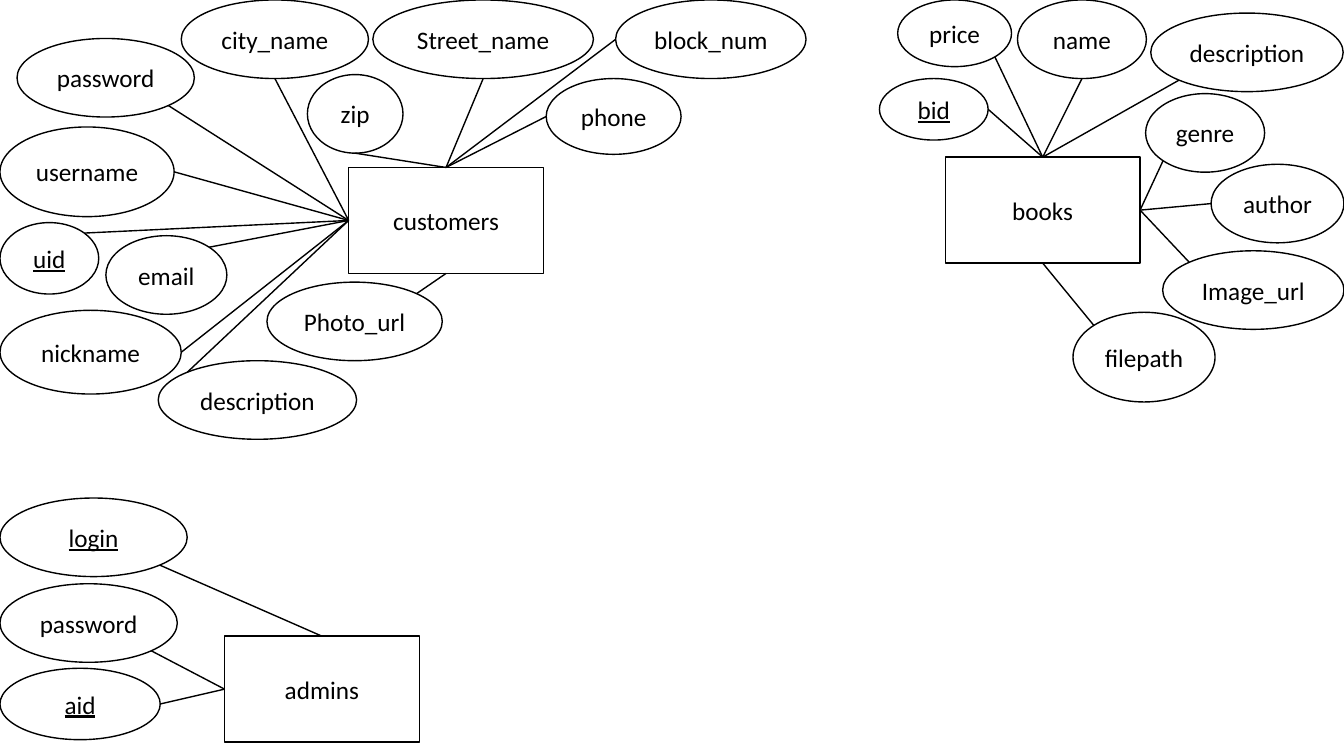
from math import sqrt

from lxml.etree import SubElement
from pptx import Presentation
from pptx.dml.color import RGBColor
from pptx.enum.shapes import MSO_CONNECTOR, MSO_SHAPE
from pptx.enum.text import MSO_ANCHOR, PP_ALIGN
from pptx.oxml.ns import qn
from pptx.util import Cm, Pt

BLACK, WHITE = "000000", "FFFFFF"
FONT = {"name": "Calibri", "size": Pt(18)}
FRAME = {"word_wrap": False, "vertical_anchor": MSO_ANCHOR.MIDDLE}
ENTITY_SIZE = (4.91, 2.67)
HEIGHT = 1.98
KEYS = {"uid", "bid", "aid", "login"}

# Connection sites of a rectangle
TOP, LEFT, BOTTOM, RIGHT = range(4)

# Points on an oval, as shares of its half width and half height from its centre
D = 1 / sqrt(2)
SITES = {
    "N": (0, -1), "NE": (D, -D), "E": (1, 0), "SE": (D, D),
    "S": (0, 1), "SW": (-D, D), "W": (-1, 0), "NW": (-D, -D),
}

# Entity: name, position, then attributes as
# name, (left, top, width, height), side of the entity, site on the oval
ENTITIES = [
    ("customers", (8.79, 4.22), [
        ("uid", (0, 5.61, 2.49, 1.8), LEFT, "NE"),
        ("nickname", (0, 7.82, 4.57, 2.11), LEFT, "E"),
        ("email", (2.67, 5.94, 3.05, HEIGHT), LEFT, "NE"),
        ("username", (0, 3.2, 4.39, 2.26), LEFT, "E"),
        ("Street_name", (9.4, 0, 5.56, HEIGHT), TOP, "S"),
        ("block_num", (15.52, 0, 4.8, HEIGHT), TOP, "W"),
        ("city_name", (4.57, 0, 4.72, HEIGHT), LEFT, "S"),
        ("zip", (7.75, 1.88, 2.41, HEIGHT), TOP, "S"),
        ("password", (0.43, 0.97, 4.47, HEIGHT), LEFT, "SE"),
        ("phone", (13.77, 1.98, 3.4, 1.91), TOP, "W"),
        ("Photo_url", (6.73, 7.11, 4.42, HEIGHT), BOTTOM, "NE"),
        ("description", (3.99, 9.09, 5, HEIGHT), LEFT, "NW"),
    ]),
    ("books", (23.83, 3.96), [
        ("bid", (22.17, 1.98, 2.74, 1.55), TOP, "E"),
        ("filepath", (27.05, 7.87, 3.58, 2.26), BOTTOM, "NW"),
        ("description", (29.01, 0.33, 4.85, HEIGHT), TOP, "SW"),
        ("author", (30.53, 4.14, 3.35, HEIGHT), RIGHT, "W"),
        ("name", (25.65, 0, 3.25, HEIGHT), TOP, "S"),
        ("genre", (28.88, 2.36, 3, HEIGHT), RIGHT, "SW"),
        ("price", (22.63, 0, 2.87, 1.68), TOP, "SE"),
        ("Image_url", (29.31, 6.32, 4.57, HEIGHT), RIGHT, "NW"),
    ]),
    ("admins", (5.66, 16.03), [
        ("aid", (0, 16.84, 4.04, 1.8), LEFT, "E"),
        ("login", (0, 12.55, 4.72, HEIGHT), TOP, "SE"),
        ("password", (0, 14.71, 4.47, HEIGHT), LEFT, "SE"),
    ]),
]


def colour(hex_value):
    return RGBColor.from_string(hex_value)


def apply(target, values):
    for name, value in values.items():
        setattr(target, name, value)


class Diagram:
    """Draws entities, attributes and links on the current slide."""

    def __init__(self, slide):
        self.shapes = slide.shapes

    def outline(self, item):
        item.line.color.rgb = colour(BLACK)
        item.line.width = Pt(1)

    def node(self, kind, label, bounds):
        box = self.shapes.add_shape(kind, *map(Cm, bounds))
        box.shadow.inherit = False
        box.fill.solid()
        box.fill.fore_color.rgb = colour(WHITE)
        self.outline(box)
        apply(box.text_frame, FRAME)
        para = box.text_frame.paragraphs[0]
        para.alignment = PP_ALIGN.CENTER
        span = para.add_run()
        span.text = label
        apply(span.font, FONT)
        span.font.color.rgb = colour(BLACK)
        if label in KEYS:
            span.font.underline = True
        return box

    def link(self, entity, side, bounds, site):
        left, top, width, height = bounds
        across, down = SITES[site]
        end_x = Cm(left + width / 2 * (1 + across))
        end_y = Cm(top + height / 2 * (1 + down))
        line = self.shapes.add_connector(
            MSO_CONNECTOR.STRAIGHT, entity.left, entity.top, end_x, end_y)
        line.begin_connect(entity, side)
        self.outline(line)
        SubElement(line._element.spPr, qn("a:effectLst"))

    def entity(self, name, position, attributes):
        box = self.node(MSO_SHAPE.RECTANGLE, name, position + ENTITY_SIZE)
        for label, bounds, _, _ in attributes:
            self.node(MSO_SHAPE.OVAL, label, bounds)
        for _, bounds, side, site in attributes:
            self.link(box, side, bounds, site)


def main():
    deck = Presentation()
    deck.slide_width, deck.slide_height = Cm(33.88), Cm(19.05)
    blank_layout = deck.slide_layouts[6]
    diagram = Diagram(deck.slides.add_slide(blank_layout))
    for entity in ENTITIES:
        diagram.entity(*entity)
    deck.save("out.pptx")


if __name__ == "__main__":
    main()
